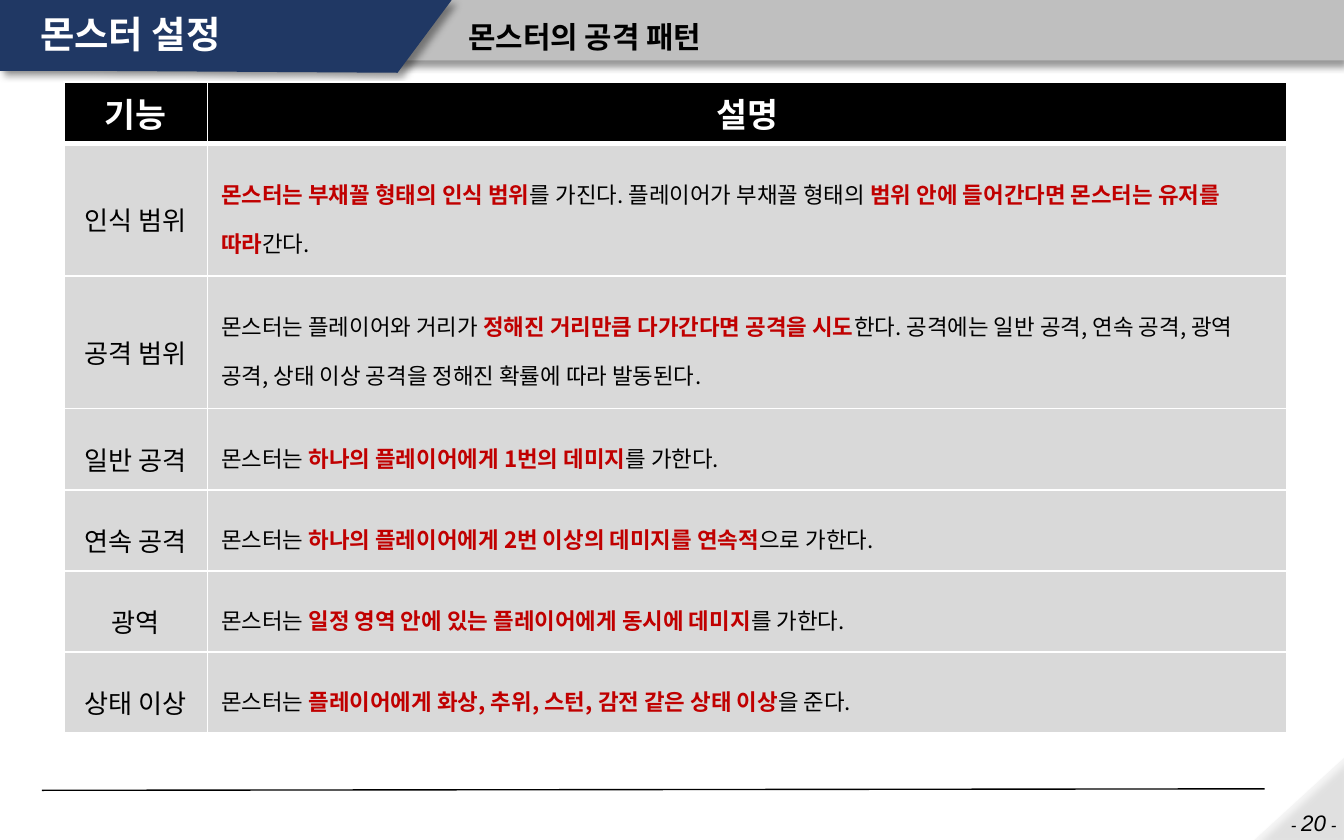
from lxml import etree
from pptx import Presentation, util as u
from pptx.dml.color import RGBColor
from pptx.enum import shapes, text
from pptx.oxml.ns import qn

NAVY = RGBColor(0x20, 0x38, 0x64)
GRAY = RGBColor(0xBF, 0xBF, 0xBF)
CELL = RGBColor(0xD9, 0xD9, 0xD9)
PALE = RGBColor(0xF2, 0xF2, 0xF2)
RED = RGBColor(0xC0, 0x00, 0x00)
BLACK = RGBColor(0, 0, 0)
WHITE = RGBColor(0xFF, 0xFF, 0xFF)
KOREAN = "Noto Sans CJK KR"
CENTER, RIGHT = text.PP_ALIGN.CENTER, text.PP_ALIGN.RIGHT
MIDDLE, TOP = text.MSO_ANCHOR.MIDDLE, text.MSO_ANCHOR.TOP

# Label and description runs; "*" separates plain text from highlighted text
ROWS = [
    ("인식 범위", "*몬스터는 부채꼴 형태의 인식 범위*를 가진다. 플레이어가 부채꼴 형태의 "
                "*범위 안에 들어간다면 몬스터는 유저를 따라*간다."),
    ("공격 범위", "몬스터는 플레이어와 거리가 *정해진 거리만큼 다가간다면 공격을 시도*한다. "
                "공격에는 일반 공격, 연속 공격, 광역 공격, 상태 이상 공격을 정해진 확률에 따라 발동된다."),
    ("일반 공격", "몬스터는 *하나의 플레이어에게 1번의 데미지*를 가한다."),
    ("연속 공격", "몬스터는 *하나의 플레이어에게 2번 이상의 데미지를 연속적*으로 가한다."),
    ("광역", "몬스터는 *일정 영역 안에 있는 플레이어에게 동시에 데미지*를 가한다."),
    ("상태 이상", "몬스터는 *플레이어에게 화상, 추위, 스턴, 감전 같은 상태 이상*을 준다."),
]
HEIGHTS = [33, 71, 71] + [43.5] * 4


def sub(parent, tag, **attrs):
    return etree.SubElement(parent, qn(tag), {k: str(v) for k, v in attrs.items()})


def add_run(p, words, color=BLACK, font=KOREAN, **formats):
    r = p.add_run()
    r.text = words
    r.font.color.rgb = color
    for name, value in {"name": font, **formats}.items():
        setattr(r.font, name, value)
    sub(r.font._element, "a:ea", typeface=KOREAN)


def style_shape(sp, color, direction, alpha=None):
    sp.fill.solid()
    sp.fill.fore_color.rgb = color
    sp.line.fill.background()
    if alpha:
        sub(sp._element.spPr.find(".//" + qn("a:srgbClr")), "a:alpha", val=alpha * 1000)
    # Soft black shadow
    sp.shadow.inherit = False
    effects = sp._element.spPr.find(qn("a:effectLst"))
    shadow = sub(effects, "a:outerShdw", blurRad=u.Pt(4), dist=u.Pt(3),
                 dir=direction * 60000, algn="t", rotWithShape=0)
    sub(sub(shadow, "a:srgbClr", val=BLACK), "a:alpha", val=40000)


def add_preset(s, kind, box, color, direction, rotation=0, alpha=None):
    sp = s.shapes.add_shape(kind, *map(u.Pt, box))
    sp.rotation = rotation
    style_shape(sp, color, direction, alpha)


def add_text(s, box, anchor, inset=3.6, spacing=1.0, align=None):
    tf = s.shapes.add_textbox(*map(u.Pt, box)).text_frame
    formats = {"word_wrap": True, "vertical_anchor": anchor,
               "margin_top": u.Pt(inset), "margin_bottom": u.Pt(inset)}
    for name, value in formats.items():
        setattr(tf, name, value)
    p = tf.paragraphs[0]
    p.line_spacing, p.alignment = spacing, align
    return p


def fill_cell(cell, color, bottom=1):
    cell.vertical_anchor = MIDDLE
    for side, width in zip("LRTB", (1, 1, 1, bottom)):
        ln = sub(cell._tc.get_or_add_tcPr(), "a:ln" + side, w=u.Pt(width))
        sub(sub(ln, "a:solidFill"), "a:srgbClr", val=WHITE)
    cell.fill.solid()
    cell.fill.fore_color.rgb = color
    return cell.text_frame.paragraphs[0]


def add_pattern_table(s):
    table = s.shapes.add_table(len(ROWS) + 1, 2, u.Pt(34.2), u.Pt(43.9),
                               u.Pt(655), u.Pt(sum(HEIGHTS))).table
    for column, width in zip(table.columns, (77, 578)):
        column.width = u.Pt(width)
    for row, height in zip(table.rows, HEIGHTS):
        row.height = u.Pt(height)
    # Header row
    for col, words in enumerate(("기능", "설명")):
        p = fill_cell(table.cell(0, col), BLACK, bottom=3)
        p.alignment = CENTER
        add_run(p, words, WHITE, size=u.Pt(18), bold=True)
    # Body rows
    for i, (label, description) in enumerate(ROWS, 1):
        p = fill_cell(table.cell(i, 0), CELL, bottom=1)
        p.alignment, p.line_spacing = CENTER, 1.5
        add_run(p, label, size=u.Pt(14), bold=False)
        p = fill_cell(table.cell(i, 1), CELL)
        p.line_spacing = 1.5
        for j, words in enumerate(description.split("*")):
            if words:
                key = j % 2 == 1
                add_run(p, words, RED if key else BLACK, size=u.Pt(12), bold=key)


def add_header(s):
    add_preset(s, shapes.MSO_SHAPE.RECTANGLE, (0, 0, 720, 32.4), GRAY, 90)
    builder = s.shapes.build_freeform(0, 0, scale=u.Pt(1))
    builder.add_line_segments([(242, 0), (213, 38.7), (50, 38.2), (0, 38.2)])
    style_shape(builder.convert_to_shape(), NAVY, 45)
    p = add_text(s, (14.4, 0, 215, 38.9), MIDDLE, spacing=0.9)
    add_run(p, "몬스터 설정", WHITE, "Arial", size=u.Pt(20), bold=True)
    p = add_text(s, (244, 0, 476, 32.4), MIDDLE, inset=0, spacing=1.35)
    add_run(p, "몬스터의 공격 패턴", font="Arial", size=u.Pt(16), bold=True)


def add_footer(s):
    add_preset(s, shapes.MSO_SHAPE.RIGHT_TRIANGLE, (674, 404, 44, 48), PALE, 45, 270, 70)
    p = add_text(s, (644, 430, 79, 14.4), TOP, align=RIGHT)
    for words, size in (("- ", 9), ("20", 12), (" -", 9)):
        add_run(p, words, font="Arial", size=u.Pt(size), italic=True)
    line = s.shapes.add_connector(shapes.MSO_CONNECTOR.STRAIGHT,
                                  *map(u.Pt, (22.4, 423.4, 677.5, 422.6)))
    line.line.color.rgb = BLACK
    line.line.width = u.Pt(0.75)
    sub(line._element.spPr, "a:effectLst")


def main():
    prs = Presentation()
    prs.slide_width, prs.slide_height = u.Pt(720), u.Pt(450)
    s = prs.slides.add_slide(prs.slide_layouts[6])
    add_header(s)
    add_footer(s)
    add_pattern_table(s)
    prs.save("out.pptx")


if __name__ == "__main__":
    main()
